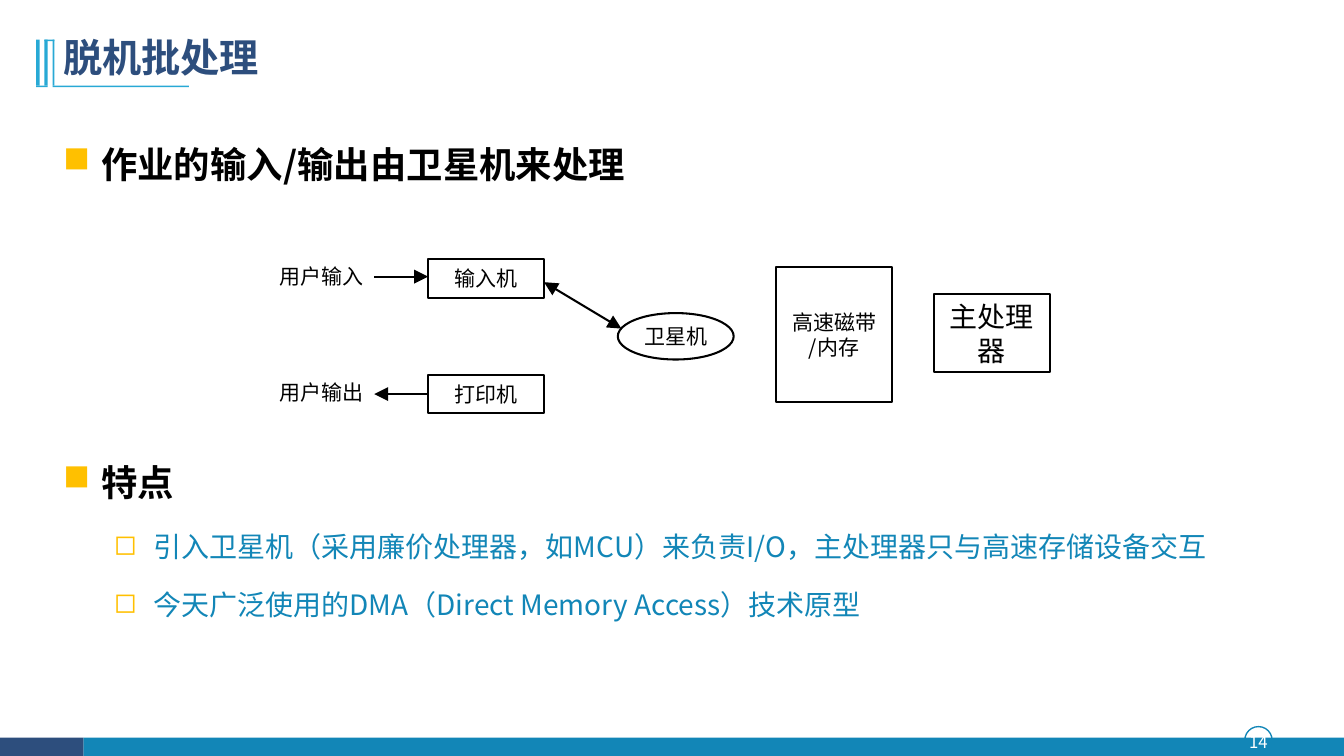
import pptx
import pptx.util
import pptx.dml.color
import pptx.enum.shapes
import pptx.enum.text
import pptx.oxml.ns
import lxml.etree

Cm = pptx.util.Cm
Pt = pptx.util.Pt
SHAPE = pptx.enum.shapes.MSO_SHAPE
ALIGN = pptx.enum.text.PP_ALIGN
ANCHOR = pptx.enum.text.MSO_ANCHOR

FONT = "Noto Sans CJK SC"
BLACK, WHITE = "000000", "FFFFFF"
NAVY, BLUE, CYAN, AMBER = "2D4E7D", "1286B7", "28A9D5", "FFC000"


def color(value):
    return pptx.dml.color.RGBColor.from_string(value)


def child(parent, tag, **attrs):
    return lxml.etree.SubElement(parent, pptx.oxml.ns.qn(tag), attrs)


def write(p, text, size=15, fill=BLACK, bold=False, align=ALIGN.LEFT,
          before=0, bullet=None, margin=0, hang=0):
    pPr = p._p.get_or_add_pPr()
    if bullet:
        pPr.set("marL", str(Cm(margin)))
        pPr.set("indent", str(-Cm(hang)))
        child(child(pPr, "a:buClr"), "a:srgbClr", val=AMBER)
        child(pPr, "a:buChar", char=bullet)
    p.alignment = align
    p.line_spacing = Pt(round(size * 1.21, 1))
    if before:
        p.space_before = Pt(before)
    r = p.add_run()
    r.text = text
    r.font.size = Pt(size)
    r.font.bold = bold
    r.font.color.rgb = color(fill)
    r.font.name = FONT
    child(r._r.get_or_add_rPr(), "a:ea", typeface=FONT)


class Deck:
    line_width = Pt(1.46)

    def __init__(self):
        self.prs = pptx.Presentation()
        self.prs.slide_width = Cm(33.87)
        self.prs.slide_height = Cm(19.05)
        self.s = self.prs.slides.add_slide(self.prs.slide_layouts[6])

    def fill_frame(self, sp, paragraphs, anchor, side=0, wrap=True):
        tf = sp.text_frame
        tf.margin_left = tf.margin_right = Cm(side)
        tf.margin_top = tf.margin_bottom = Cm(0.03)
        tf.word_wrap = wrap
        tf.vertical_anchor = anchor
        for i, (text, fmt) in enumerate(paragraphs):
            p = tf.add_paragraph() if i else tf.paragraphs[0]
            write(p, text, **fmt)

    def shape(self, kind, x, y, w, h, fill=None, line=None, width=None):
        sp = self.s.shapes.add_shape(kind, Cm(x), Cm(y), Cm(w), Cm(h))
        sp.shadow.inherit = False
        if fill:
            sp.fill.solid()
            sp.fill.fore_color.rgb = color(fill)
        else:
            sp.fill.background()
        if line:
            sp.line.color.rgb = color(line)
            sp.line.width = width or self.line_width
        else:
            sp.line.fill.background()
        return sp

    def bar(self, x, y, w, h, fill):
        self.shape(SHAPE.RECTANGLE, x, y, w, h, fill)

    def node(self, kind, x, y, h, *lines, size=15, side=0):
        sp = self.shape(kind, x, y, 2.92, h, WHITE, BLACK)
        fmt = dict(size=size, align=ALIGN.CENTER)
        self.fill_frame(sp, [(t, fmt) for t in lines], ANCHOR.MIDDLE, side)

    def text(self, x, y, w, h, *paragraphs, anchor=ANCHOR.TOP, wrap=True):
        sp = self.s.shapes.add_textbox(Cm(x), Cm(y), Cm(w), Cm(h))
        self.fill_frame(sp, paragraphs, anchor, wrap=wrap)

    def label(self, x, y, w, h, text, **fmt):
        self.text(x, y, w, h, (text, fmt), anchor=ANCHOR.MIDDLE, wrap=False)

    def arrow(self, x1, y1, x2, y2, both=False):
        kind = pptx.enum.shapes.MSO_CONNECTOR.STRAIGHT
        c = self.s.shapes.add_connector(kind, Cm(x1), Cm(y1), Cm(x2), Cm(y2))
        c.line.color.rgb = color(BLACK)
        c.line.width = self.line_width
        ln = c.line._get_or_add_ln()
        for tag in ("a:headEnd", "a:tailEnd") if both else ("a:tailEnd",):
            child(ln, tag, type="triangle", w="lg", len="lg")
        child(c._element.spPr, "a:effectLst")


def main():
    d = Deck()
    d.shape(SHAPE.OVAL, 31.37, 18.31, 0.69, 0.69, line=BLUE, width=Pt(0.96))
    d.bar(2.1, 18.59, 31.77, 0.46, BLUE)
    d.bar(0, 18.59, 2.1, 0.46, NAVY)
    for x, y, w, h in [(0.91, 2.16, 0.29, 0.04), (1.33, 2.16, 3.43, 0.04),
                       (0.91, 1, 0.09, 1.16), (1.12, 1, 0.08, 1.16),
                       (1.33, 1, 0.04, 1.16), (1.12, 1, 0.25, 0.04)]:
        d.bar(x, y, w, h, CYAN)
    d.label(1.6, 0.81, 5, 1.25, "脱机批处理", size=28, fill=NAVY, bold=True)

    topic = dict(size=26, bold=True, bullet="■", margin=0.98, hang=0.96)
    detail = dict(size=20, fill=BLUE, bullet="◻", margin=2.29, hang=0.99)
    d.text(1.57, 3.55, 14.3, 2.3, ("作业的输入/输出由卫星机来处理", topic))
    d.text(1.57, 11.55, 29.11, 5,
           ("特点", topic),
           ("引入卫星机（采用廉价处理器，如MCU）来负责I/O，主处理器只与高速存储设备交互",
            dict(detail, before=18.5)),
           ("今天广泛使用的DMA（Direct Memory Access）技术原型",
            dict(detail, before=17.1)))

    d.node(SHAPE.RECTANGLE, 23.54, 7.41, 1.96, "主处理器", size=20, side=0.36)
    d.node(SHAPE.RECTANGLE, 19.56, 6.73, 3.4, "高速磁带", "/内存")
    d.node(SHAPE.OVAL, 15.57, 7.89, 1.17, "卫星机")
    for y, device, user in [(6.53, "输入机", "用户输入"), (9.45, "打印机", "用户输出")]:
        d.node(SHAPE.RECTANGLE, 10.79, y, 0.97, device)
        d.label(7.05, y + 0.08, 2.25, 0.7, user)
    d.arrow(9.43, 6.97, 10.79, 6.97)
    d.arrow(10.79, 9.93, 9.43, 9.93)
    d.arrow(13.71, 7.11, 15.66, 8.28, both=True)
    d.label(31.37, 18.36, 0.69, 0.64, "14", size=12, fill=WHITE, align=ALIGN.CENTER)
    d.prs.save("out.pptx")


if __name__ == "__main__":
    main()
